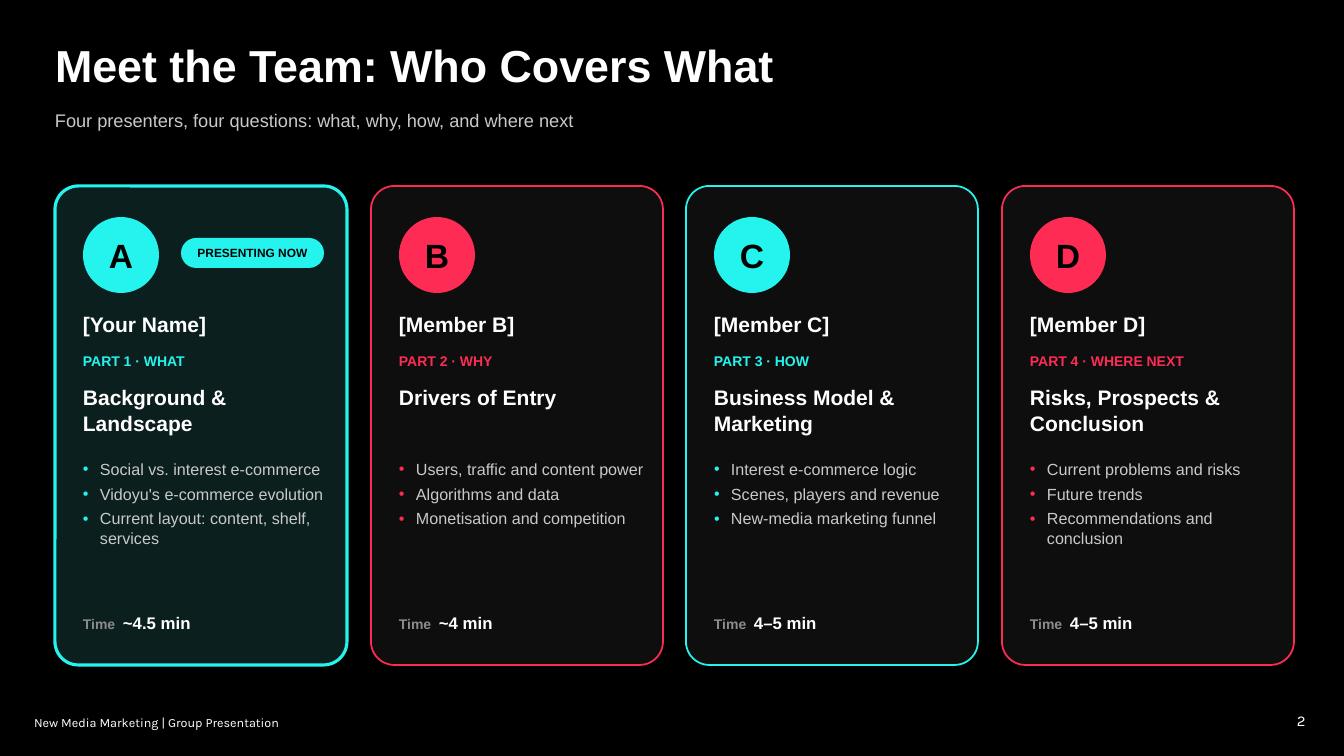
from dataclasses import dataclass
from typing import Any

from lxml.etree import SubElement
from pptx import Presentation
from pptx.dml.color import RGBColor
from pptx.enum.shapes import MSO_SHAPE as Preset
from pptx.enum.text import MSO_ANCHOR as Anchor, MSO_AUTO_SIZE as AutoSize, PP_ALIGN as Align
from pptx.oxml.ns import qn
from pptx.util import Emu, Pt

SLIDE_W, SLIDE_H = 1344, 756
EMU_PER_PX = 12192000 / SLIDE_W

COLORS = {
    "black": "000000", "white": "FFFFFF", "cyan": "25F4EE", "red": "FE2C55",
    "active": "0B1F1F", "card": "0E0E0E", "soft": "C9C9C9", "muted": "8C8C8C",
}
FRAME = {
    "margin_left": 0, "margin_top": 0, "margin_right": 0, "margin_bottom": 0,
    "word_wrap": True, "auto_size": AutoSize.NONE,
}
CARD_LEFT, CARD_TOP, CARD_W, CARD_H = 55, 186, 292, 479
LAST_CARD_LEFT = 1002
PADDING, LIST_INDENT, TIME_TAB = 28, 17, 40


@dataclass(frozen=True)
class Box:
    left: int
    top: int
    width: int
    height: int


@dataclass(frozen=True)
class Style:
    size: float
    color: str
    bold: bool = False
    face: str = "Arial"


@dataclass(frozen=True)
class Member:
    letter: str
    name: str
    section: str
    topic: str
    points: tuple[str, ...]
    time: str
    accent: str
    presenting: bool = False


HEADING = Style(15, "white", True)
POINT = Style(11.5, "soft")
FOOTER = Style(9, "white", face="Karla")

TEAM = (
    Member("A", "[Your Name]", "PART 1 · WHAT", "Background & Landscape",
           ("Social vs. interest e-commerce", "Vidoyu's e-commerce evolution",
            "Current layout: content, shelf, services"), "~4.5 min", "cyan", True),
    Member("B", "[Member B]", "PART 2 · WHY", "Drivers of Entry",
           ("Users, traffic and content power", "Algorithms and data",
            "Monetisation and competition"), "~4 min", "red"),
    Member("C", "[Member C]", "PART 3 · HOW", "Business Model & Marketing",
           ("Interest e-commerce logic", "Scenes, players and revenue",
            "New-media marketing funnel"), "4–5 min", "cyan"),
    Member("D", "[Member D]", "PART 4 · WHERE NEXT", "Risks, Prospects & Conclusion",
           ("Current problems and risks", "Future trends",
            "Recommendations and conclusion"), "4–5 min", "red"),
)


def px(length: int) -> Emu:
    return Emu(round(length * EMU_PER_PX))


def rgb(color: str) -> RGBColor:
    return RGBColor.from_string(COLORS[color])


def edges(box: Box) -> tuple[Emu, ...]:
    return px(box.left), px(box.top), px(box.width), px(box.height)


def add_run(paragraph: Any, text: str, style: Style) -> None:
    run = paragraph.add_run()
    run.text = text
    values = {"name": style.face, "size": Pt(style.size), "bold": style.bold}
    for attribute, value in values.items():
        setattr(run.font, attribute, value)
    run.font.color.rgb = rgb(style.color)


def format_frame(frame: Any, anchor: Anchor = Anchor.TOP) -> None:
    for attribute, value in {**FRAME, "vertical_anchor": anchor}.items():
        setattr(frame, attribute, value)


def add_label(slide: Any, box: Box, text: str, style: Style) -> Any:
    frame = slide.shapes.add_textbox(*edges(box)).text_frame
    format_frame(frame)
    add_run(frame.paragraphs[0], text, style)
    return frame.paragraphs[0]


def add_panel(slide: Any, preset: Preset, box: Box, fill: str) -> Any:
    panel = slide.shapes.add_shape(preset, *edges(box))
    panel.shadow.inherit = False
    panel.fill.solid()
    panel.fill.fore_color.rgb = rgb(fill)
    panel.line.fill.background()
    return panel


def add_badge(slide: Any, preset: Preset, box: Box, fill: str, text: str, size: float) -> Any:
    badge = add_panel(slide, preset, box, fill)
    format_frame(badge.text_frame, Anchor.MIDDLE)
    paragraph = badge.text_frame.paragraphs[0]
    paragraph.alignment = Align.CENTER
    add_run(paragraph, text, Style(size, "black", True))
    return badge


def place(placeholder: Any, box: Box) -> Any:
    for attribute, value in zip(("left", "top", "width", "height"), edges(box)):
        setattr(placeholder, attribute, value)
    tree = placeholder.element.getparent()
    tree.append(placeholder.element)
    format_frame(placeholder.text_frame)
    return placeholder.text_frame


def add_bullet(paragraph: Any, color: str) -> None:
    properties = paragraph._p.get_or_add_pPr()
    properties.set("marL", str(px(LIST_INDENT)))
    properties.set("indent", str(-px(LIST_INDENT)))
    bullet_color = SubElement(properties, qn("a:buClr"))
    SubElement(bullet_color, qn("a:srgbClr"), val=COLORS[color])
    SubElement(properties, qn("a:buFont"), typeface="Arial")
    SubElement(properties, qn("a:buChar"), char="•")


def fill_points(placeholder: Any, box: Box, member: Member) -> None:
    frame = place(placeholder, box)
    for index, point in enumerate(member.points):
        paragraph = frame.add_paragraph() if index else frame.paragraphs[0]
        add_bullet(paragraph, member.accent)
        paragraph.space_before, paragraph.space_after = Pt(0), Pt(4)
        add_run(paragraph, point, POINT)


def add_time(slide: Any, box: Box, time: str) -> None:
    paragraph = add_label(slide, box, "Time\t", Style(10, "muted", True))
    tabs = SubElement(paragraph._p.get_or_add_pPr(), qn("a:tabLst"))
    SubElement(tabs, qn("a:tab"), pos=str(px(TIME_TAB)), algn="l")
    add_run(paragraph, time, Style(12, "white", True))


def add_card(slide: Any, left: int, member: Member, points: Any) -> None:
    card = add_panel(slide, Preset.ROUNDED_RECTANGLE, Box(left, CARD_TOP, CARD_W, CARD_H),
                     "active" if member.presenting else "card")
    card.adjustments[0] = 0.08
    card.line.color.rgb = rgb(member.accent)
    card.line.width = Pt(2.25 if member.presenting else 1.25)
    inner = left + PADDING
    add_badge(slide, Preset.OVAL, Box(inner, 217, 76, 76), member.accent, member.letter, 24)
    if member.presenting:
        pill = add_badge(slide, Preset.ROUNDED_RECTANGLE, Box(left + 126, 238, 143, 30),
                         member.accent, "PRESENTING NOW", 8.5)
        pill.adjustments[0] = 0.5
    add_label(slide, Box(inner, 312, 242, 35), member.name, HEADING)
    add_label(slide, Box(inner, 353, 242, 30), member.section, Style(10, member.accent, True))
    add_label(slide, Box(inner, 385, 247, 71), member.topic, HEADING)
    fill_points(points, Box(inner, 459, 247, 136), member)
    add_time(slide, Box(inner, 613, 242, 30), member.time)


def main() -> None:
    deck = Presentation()
    deck.slide_width, deck.slide_height = px(SLIDE_W), px(SLIDE_H)
    slide = deck.slides.add_slide(deck.slide_layouts.get_by_name("Comparison"))
    slide.background.fill.solid()
    slide.background.fill.fore_color.rgb = rgb("black")
    title, *lists = list(slide.placeholders)

    add_label(slide, Box(34, 715, 423, 30), "New Media Marketing | Group Presentation", FOOTER)
    add_label(slide, Box(1297, 712, 26, 19), "2", Style(10.7, "white", face="Karla"))
    heading = place(title, Box(55, 38, 1230, 71)).paragraphs[0]
    heading.alignment = Align.LEFT
    add_run(heading, "Meet the Team: Who Covers What", Style(32, "white", True))
    add_label(slide, Box(55, 109, 1230, 40),
              "Four presenters, four questions: what, why, how, and where next", Style(13, "soft"))

    pitch = (LAST_CARD_LEFT - CARD_LEFT) / (len(TEAM) - 1)
    for index, (member, points) in enumerate(zip(TEAM, lists)):
        add_card(slide, CARD_LEFT + round(index * pitch), member, points)
    deck.save("out.pptx")


if __name__ == "__main__":
    main()
